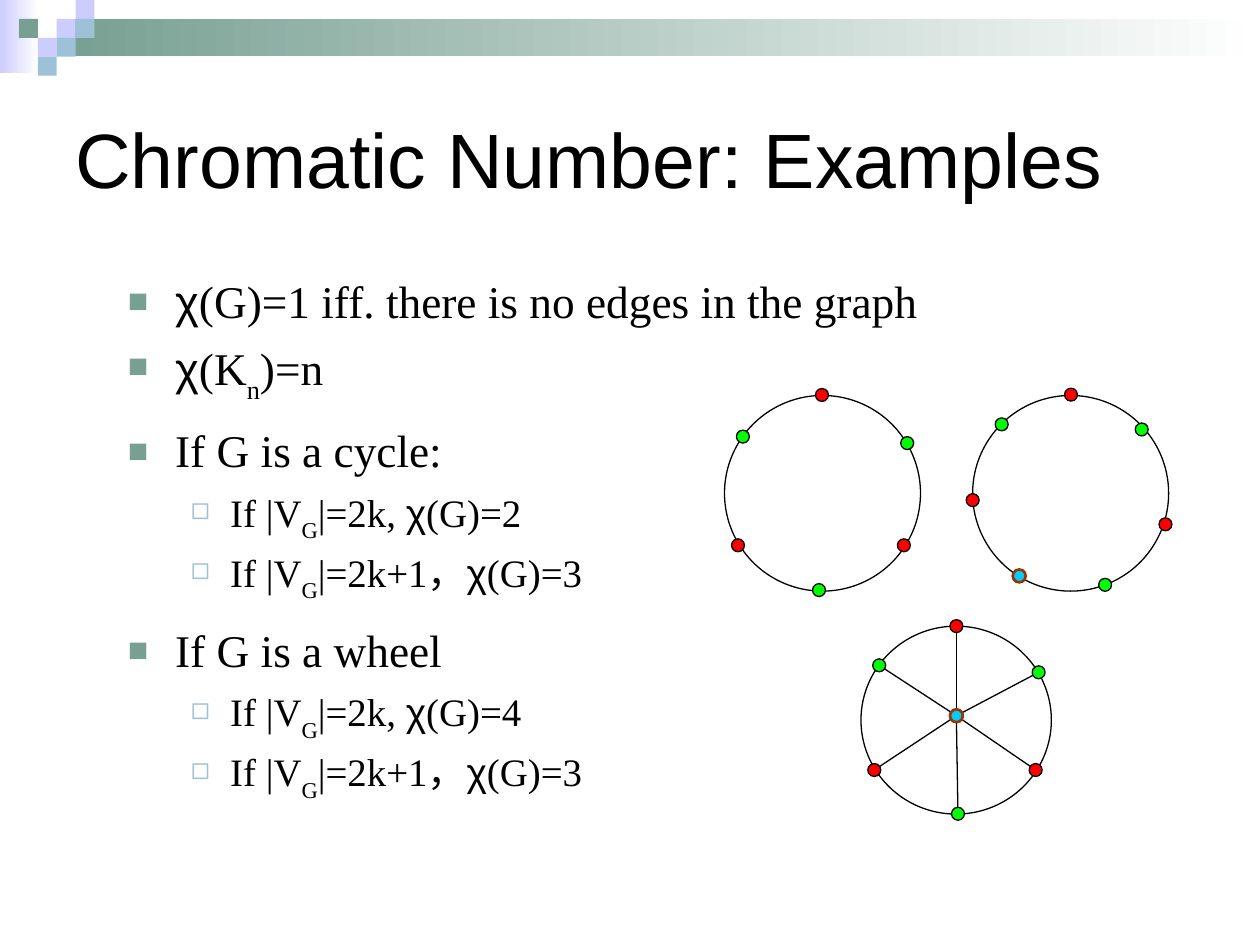
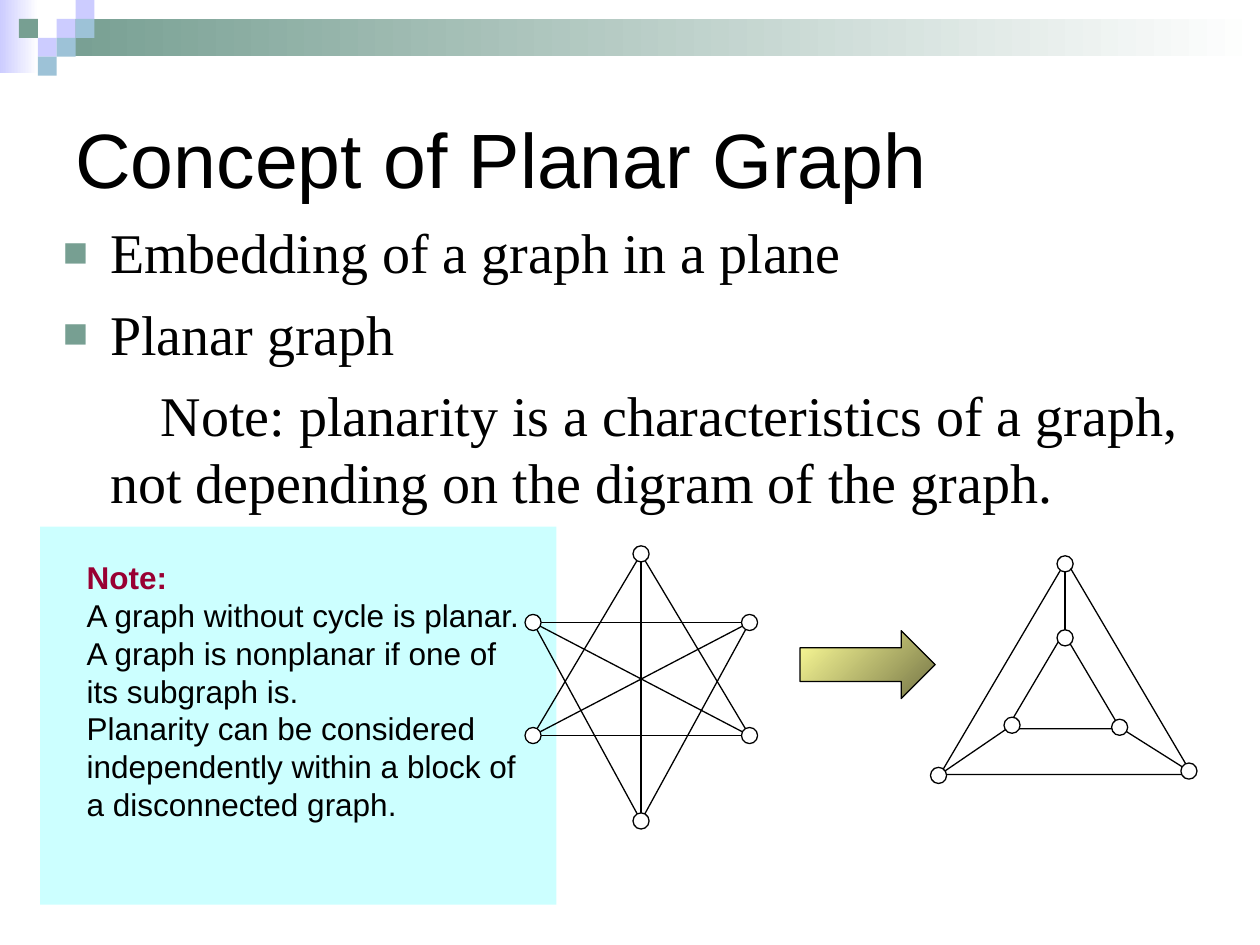
from itertools import groupby

from lxml import etree
from pptx import Presentation
from pptx.dml.color import RGBColor
from pptx.enum.shapes import MSO_CONNECTOR, MSO_SHAPE as SHAPE
from pptx.enum.text import MSO_ANCHOR as ANCHOR, PP_ALIGN as ALIGN
from pptx.oxml.ns import qn
from pptx.util import Pt

BLACK = RGBColor(0x00, 0x00, 0x00)
WHITE = RGBColor(0xFF, 0xFF, 0xFF)
SAGE = RGBColor(0x77, 0x9F, 0x92)
LILAC = RGBColor(0xCC, 0xCC, 0xFF)
SKY = RGBColor(0x9D, 0xC2, 0xD7)
RED = RGBColor(0xFF, 0x00, 0x00)
GREEN = RGBColor(0x00, 0xFF, 0x00)
CYAN = RGBColor(0x00, 0xCC, 0xFF)
BROWN = RGBColor(0x99, 0x33, 0x00)
CRIMSON = RGBColor(0x99, 0x00, 0x33)
PALE_CYAN = RGBColor(0xCC, 0xFF, 0xFF)
YELLOW = RGBColor(0xFF, 0xFF, 0x99)
OLIVE = RGBColor(0x75, 0x75, 0x46)

SANS = "Arial"
SERIF = "Times New Roman"
SQUARE = 10.8


def add_text(frame, text, size=18, font=SANS, color=BLACK, bold=False, align=ALIGN.LEFT,
             margin=0, indent=0, before=0, spacing=1.0, bullet=None):
    paragraph = frame.paragraphs[0]
    if paragraph.runs:
        paragraph = frame.add_paragraph()
    paragraph.alignment = align
    paragraph.line_spacing = spacing
    paragraph.space_before = Pt(before)
    props = paragraph._p.get_or_add_pPr()
    props.set("marL", str(Pt(margin)))
    props.set("indent", str(Pt(indent)))
    if bullet:
        mark, mark_color, percent = bullet
        tint = etree.SubElement(props, qn("a:buClr"))
        etree.SubElement(tint, qn("a:srgbClr"), val=str(mark_color))
        etree.SubElement(props, qn("a:buSzPct"), val=str(percent * 1000))
        etree.SubElement(props, qn("a:buFont"), typeface=SANS)
        etree.SubElement(props, qn("a:buChar"), char=mark)
    letters = [(letter, "sub" if previous == "_" else "chi" if letter == "χ" else "plain")
               for previous, letter in zip(" " + text, text) if letter != "_"]
    for kind, group in groupby(letters, key=lambda pair: pair[1]):
        run = paragraph.add_run()
        run.text = "".join(letter for letter, _ in group)
        run.font.size = Pt(size)
        run.font.name = SANS if kind == "chi" else font
        run.font.bold = bold
        run.font.color.rgb = color
        if kind == "sub":
            run._r.get_or_add_rPr().set("baseline", "-30000")


def add_figure(slide, kind, box, fill=None, fade=None, angle=0, line=None, width=0.75):
    figure = slide.shapes.add_shape(kind, *map(Pt, box))
    figure.shadow.inherit = False
    if fade:
        figure.fill.gradient()
        figure.fill.gradient_angle = angle
        for stop, position, color in zip(figure.fill.gradient_stops, (0, 1), (fill, fade)):
            stop.position = position
            stop.color.rgb = color
    elif fill is not None:
        figure.fill.solid()
        figure.fill.fore_color.rgb = fill
    else:
        figure.fill.background()
    if line is not None:
        figure.line.color.rgb = line
        figure.line.width = Pt(width)
    else:
        figure.line.fill.background()


deck = Presentation()
deck.slide_width, deck.slide_height = Pt(720), Pt(540)
examples, planar = [deck.slides.add_slide(deck.slide_layouts[6]) for _ in range(2)]

mosaic = [(3, 1, LILAC), (4, 0, LILAC), (4, 1, SKY), (2, 2, LILAC),
          (1, 1, SAGE), (3, 2, SKY), (2, 3, SKY)]
for slide in (examples, planar):
    add_figure(slide, SHAPE.RECTANGLE, (0, 0, 22, 42), LILAC, WHITE)
    add_figure(slide, SHAPE.RECTANGLE, (32.4, 10.8, 687.6, 21.4), SAGE, WHITE)
    for column, row, color in mosaic:
        add_figure(slide, SHAPE.RECTANGLE,
                   (column * SQUARE, row * SQUARE, SQUARE, SQUARE), color)

add_figure(planar, SHAPE.RECTANGLE, (23, 301, 295, 216), PALE_CYAN)
add_figure(planar, SHAPE.RIGHT_ARROW, (457.2, 360.4, 77.2, 38.8),
           YELLOW, OLIVE, angle=315, line=BLACK)

even_cycle = [(469.7, 225.7, RED), (518.4, 253.2, GREEN), (516.5, 311.6, RED),
              (468, 337.2, GREEN), (421.7, 311.6, RED), (424.5, 249.5, GREEN)]
odd_cycle = [(612, 225.5, RED), (652.4, 245.4, GREEN), (666, 299.6, RED),
             (631.5, 334.2, GREEN), (582.4, 329.1, CYAN), (555.8, 285.8, RED),
             (572.4, 242.5, GREEN)]
wheel = [(546.5, 357.8, RED), (593.5, 384.2, GREEN), (591.8, 440, RED),
         (547.4, 465, GREEN), (499.6, 440, RED), (502.4, 380.2, GREEN),
         (546.5, 409, CYAN)]
star = [(366.3, 316.5, WHITE), (304.6, 420.3, WHITE), (304.6, 355.7, WHITE),
        (428.3, 355.7, WHITE), (428.3, 420.3, WHITE), (366.3, 469.1, WHITE)]
prism = [(608.6, 322.2, WHITE), (536.3, 443.1, WHITE), (679.4, 440.6, WHITE),
         (608.6, 364.5, WHITE), (578.3, 414.4, WHITE), (639.8, 415.6, WHITE)]
star_edges = [(0, 1), (0, 4), (1, 4), (2, 3), (2, 5), (3, 5), (0, 5), (1, 3), (2, 4)]

graphs = [
    (examples, 7.4, SHAPE.OVAL, [(414, 226, 112, 111.8)], even_cycle, []),
    (examples, 7.4, SHAPE.OVAL, [(555.8, 226, 112, 111.8)], odd_cycle, []),
    (examples, 7.4, SHAPE.OVAL, [(492, 357.8, 108.8, 107.4)], wheel,
     [(6, rim) for rim in range(6)]),
    (planar, 9.2, None, [], star, star_edges),
    (planar, 9.2, SHAPE.ISOSCELES_TRIANGLE,
     [(537.2, 320.4, 144, 122.2), (575.4, 361.6, 64.8, 54.8)], prism,
     [(outer, outer + 3) for outer in range(3)]),
]
for slide, diameter, outline, boxes, nodes, edges in graphs:
    for box in boxes:
        add_figure(slide, outline, box, line=BLACK)
    for start, end in edges:
        edge = slide.shapes.add_connector(
            MSO_CONNECTOR.STRAIGHT, *map(Pt, nodes[start][:2] + nodes[end][:2]))
        edge.line.color.rgb = BLACK
        edge.line.width = Pt(0.75)
        etree.SubElement(edge._element.spPr, qn("a:effectLst"))
    for x, y, color in nodes:
        special = color == CYAN
        add_figure(slide, SHAPE.OVAL,
                   (x - diameter / 2, y - diameter / 2, diameter, diameter), color,
                   line=BROWN if special else BLACK, width=1.5 if special else 0.75)

title = dict(size=44)
point = dict(size=25.9, font=SERIF, align=ALIGN.JUSTIFY, margin=27, indent=-27,
             before=7, spacing=0.9, bullet=("■", SAGE, 75))
section = dict(point, before=17.5)
case = dict(point, size=22.2, margin=58.5, indent=-22.5, before=6, bullet=("◻", SKY, 80))
concept = dict(point, size=32, before=8, spacing=1.0)
remark = dict(size=32, font=SERIF, margin=27, indent=29, before=8)
note_head = dict(bold=True, color=CRIMSON)
note = dict(size=18)

title_box = (36, 36, 648, 108)
texts = [
    (examples, title_box, ANCHOR.MIDDLE, [("Chromatic Number: Examples", title)]),
    (examples, (66, 156, 612, 324), ANCHOR.TOP, [
        ("χ(G)=1 iff. there is no edges in the graph", point),
        ("χ(K_n)=n", point),
        ("If G is a cycle:", section),
        ("If |V_G|=2k, χ(G)=2", case),
        ("If |V_G|=2k+1，χ(G)=3", case),
        ("If G is a wheel", section),
        ("If |V_G|=2k, χ(G)=4", case),
        ("If |V_G|=2k+1，χ(G)=3", case),
    ]),
    (planar, title_box, ANCHOR.MIDDLE, [("Concept of Planar Graph", title)]),
    (planar, (28.8, 121, 670.4, 337), ANCHOR.TOP, [
        ("Embedding of a graph in a plane", concept),
        ("Planar graph", concept),
        ("Note: planarity is a characteristics of a graph, "
         "not depending on the digram of the graph.", remark),
    ]),
    (planar, (42.5, 315.4, 269.4, 191.6), ANCHOR.TOP, [
        ("Note:", note_head),
        ("A graph without cycle is planar.", note),
        ("A graph is nonplanar if one of its subgraph is.", note),
        ("Planarity can be considered independently within a block of "
         "a disconnected graph.", note),
    ]),
]
for slide, box, anchor, lines in texts:
    frame = slide.shapes.add_textbox(*map(Pt, box)).text_frame
    frame.word_wrap = True
    frame.vertical_anchor = anchor
    for text, style in lines:
        add_text(frame, text, **style)

deck.save("out.pptx")
